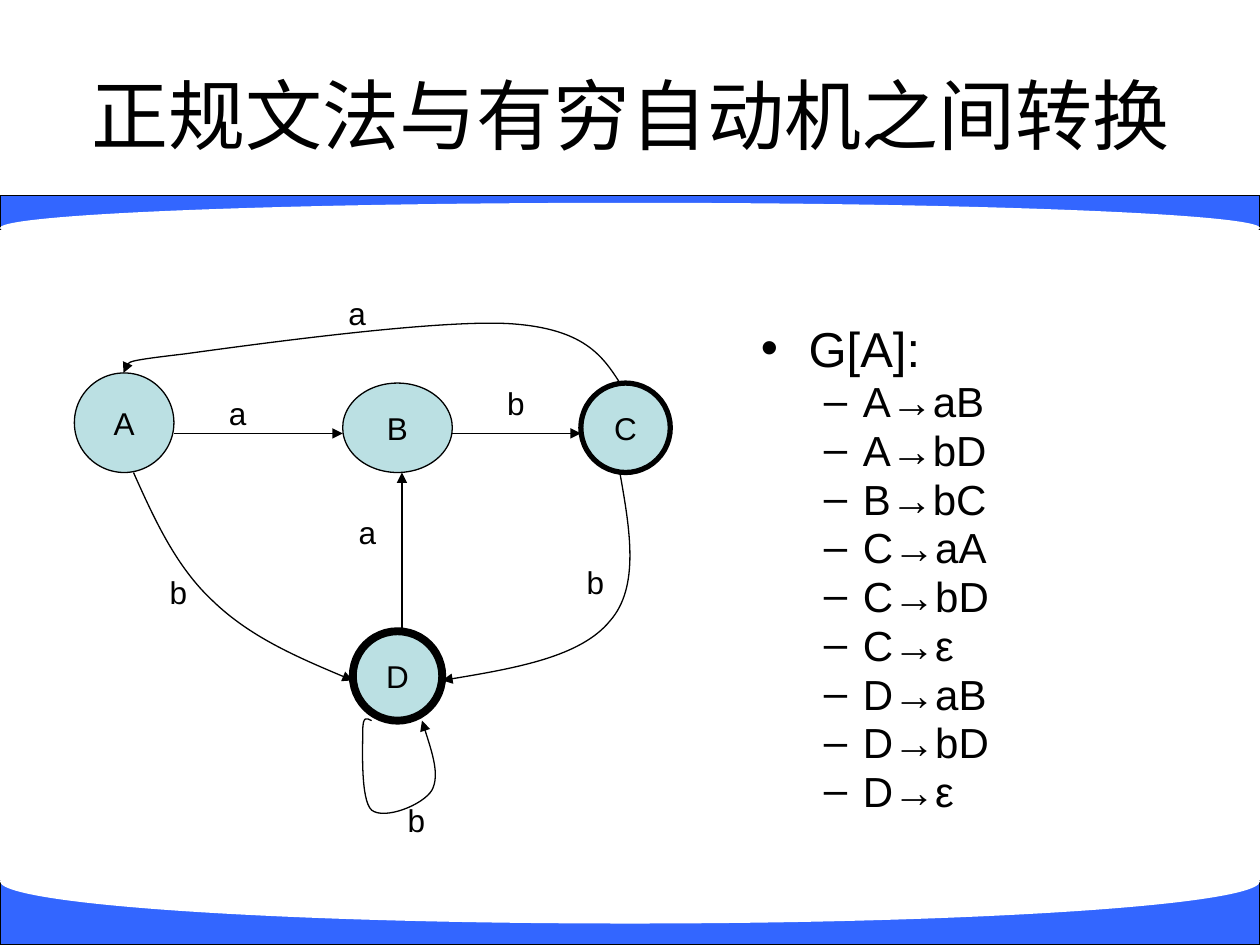
from dataclasses import dataclass
from typing import NamedTuple

from lxml.etree import SubElement
from pptx import Presentation
from pptx.dml.color import RGBColor as Color
from pptx.enum.shapes import MSO_CONNECTOR as Connector, MSO_SHAPE as Preset
from pptx.enum.text import MSO_ANCHOR as Anchor, PP_ALIGN as Align
from pptx.oxml.ns import qn
from pptx.util import Emu, Pt

EMU_PER_PX = 9144


@dataclass(frozen=True)
class Theme:
    font: str = "Arial"
    ink: Color = Color(0x00, 0x00, 0x00)
    paper: Color = Color(0xFF, 0xFF, 0xFF)
    band: Color = Color(0x33, 0x66, 0xFF)
    state: Color = Color(0xBB, 0xE0, 0xE3)
    title_size: int = 44
    grammar_size: int = 28
    rule_size: int = 24
    label_size: int = 18
    thin: float = 0.75


class Box(NamedTuple):
    left: int
    top: int
    width: int
    height: int


class Point(NamedTuple):
    x: int
    y: int


class State(NamedTuple):
    name: str
    box: Box
    line: float


class Label(NamedTuple):
    text: str
    left: int
    top: int


class Bullet(NamedTuple):
    symbol: str
    margin: int
    hang: int


class Edge(NamedTuple):
    start: Point
    end: Point


THEME = Theme()
BANDS = [
    (Box(0, 155, 1000, 27), Box(0, 161, 1000, 40)),
    (Box(0, 699, 1000, 51), Box(0, 666, 1000, 67)),
]
STATES = [
    State("A", Box(59, 296, 79, 79), THEME.thin),
    State("C", Box(461, 304, 71, 71), 3),
    State("D", Box(280, 501, 71, 71), 4.5),
    State("B", Box(272, 304, 87, 71), THEME.thin),
]
LABELS = [
    Label("a", 264, 233),
    Label("b", 390, 304),
    Label("a", 169, 312),
    Label("b", 122, 454),
    Label("a", 272, 407),
    Label("b", 311, 635),
    Label("b", 453, 446),
]
EDGES = [
    Edge(Point(138, 344), Point(272, 344)),
    Edge(Point(358, 344), Point(461, 344)),
    Edge(Point(319, 501), Point(319, 375)),
]
CURVES = [
    [(295, 572), (291, 570), (288, 568), (288, 580), (288, 592), (286, 635), (295, 643),
     (305, 651), (336, 639), (343, 627), (349, 615), (342, 594), (335, 572)],
    [(106, 375), (123, 413), (140, 450), (169, 477), (198, 505), (239, 523), (280, 540)],
    [(492, 375), (500, 420), (508, 466), (484, 493), (461, 521), (406, 531), (351, 540)],
    [(492, 304), (478, 282), (463, 261), (406, 257), (348, 253), (197, 274), (146, 281),
     (94, 287), (96, 292), (98, 296)],
]
GRAMMAR_BULLET = Bullet("•", 38, 38)
RULE_BULLET = Bullet("–", 81, 31)
RULES = ["A→aB", "A→bD", "B→bC", "C→aA", "C→bD", "C→ε", "D→aB", "D→bD", "D→ε"]


def px(length: int) -> Emu:
    return Emu(length * EMU_PER_PX)


def write_text(paragraph, text: str, *, size: int, align=Align.CENTER,
               bullet: Bullet | None = None, line_spacing: float | None = None,
               before: float = 0) -> None:
    if bullet:
        properties = paragraph._p.get_or_add_pPr()
        properties.set("marL", str(px(bullet.margin)))
        properties.set("indent", str(px(-bullet.hang)))
        SubElement(properties, qn("a:buFont")).set("typeface", THEME.font)
        SubElement(properties, qn("a:buChar")).set("char", bullet.symbol)
    paragraph.alignment = align
    if line_spacing:
        paragraph.line_spacing = line_spacing
    if before:
        paragraph.space_before = Pt(before)
    run = paragraph.add_run()
    run.text = text
    run.font.name = THEME.font
    run.font.size = Pt(size)
    run.font.color.rgb = THEME.ink


def add_filled(slide, preset: Preset, box: Box, fill: Color, line: float = 0):
    shape = slide.shapes.add_shape(preset, *map(px, box))
    shape.shadow.inherit = False
    shape.fill.solid()
    shape.fill.fore_color.rgb = fill
    if line:
        shape.line.color.rgb = THEME.ink
        shape.line.width = Pt(line)
    else:
        shape.line.fill.background()
    return shape


def add_frame(slide, box: Box, anchor: Anchor, wrap: bool = True):
    frame = slide.shapes.add_textbox(*map(px, box)).text_frame
    frame.word_wrap = wrap
    frame.vertical_anchor = anchor
    return frame


def add_state(slide, state: State) -> None:
    shape = add_filled(slide, Preset.OVAL, state.box, THEME.state, state.line)
    frame = shape.text_frame
    frame.word_wrap = False
    frame.vertical_anchor = Anchor.MIDDLE
    write_text(frame.paragraphs[0], state.name, size=THEME.label_size)


def add_label(slide, label: Label) -> None:
    frame = add_frame(slide, Box(label.left, label.top, 39, 31), Anchor.MIDDLE, wrap=False)
    write_text(frame.paragraphs[0], label.text, size=THEME.label_size)


def style_arrow(shape) -> None:
    shape.line.color.rgb = THEME.ink
    shape.line.width = Pt(THEME.thin)
    SubElement(shape.line._get_or_add_ln(), qn("a:tailEnd")).set("type", "triangle")


def add_edge(slide, edge: Edge) -> None:
    connector = slide.shapes.add_connector(
        Connector.STRAIGHT, *map(px, (*edge.start, *edge.end)))
    style_arrow(connector)
    SubElement(connector._element.spPr, qn("a:effectLst"))


def bend_segments(shape) -> None:
    outline = next(shape._element.iter(qn("a:path")))
    segments = outline.findall(qn("a:lnTo"))
    for first in range(0, len(segments), 3):
        curve = SubElement(outline, qn("a:cubicBezTo"))
        for segment in segments[first:first + 3]:
            curve.append(segment[0])
            outline.remove(segment)


def add_curve(slide, controls: list[tuple[int, int]]) -> None:
    start, *others = [(px(x), px(y)) for x, y in controls]
    builder = slide.shapes.build_freeform(*start)
    builder.add_line_segments(others, close=False)
    shape = builder.convert_to_shape()
    bend_segments(shape)
    shape.shadow.inherit = False
    shape.fill.background()
    style_arrow(shape)


def add_grammar(slide) -> None:
    frame = add_frame(slide, Box(594, 257, 307, 425), Anchor.TOP)
    write_text(frame.paragraphs[0], "G[A]:", size=THEME.grammar_size, align=Align.LEFT,
               bullet=GRAMMAR_BULLET, line_spacing=0.8)
    for rule in RULES:
        paragraph = frame.add_paragraph()
        paragraph.level = 1
        write_text(paragraph, rule, size=THEME.rule_size, align=Align.LEFT,
                   bullet=RULE_BULLET, line_spacing=0.8, before=4.8)


def main() -> None:
    presentation = Presentation()
    presentation.slide_width, presentation.slide_height = px(1000), px(750)
    slide = presentation.slides.add_slide(presentation.slide_layouts[6])
    for band, cutout in BANDS:
        add_filled(slide, Preset.RECTANGLE, band, THEME.band, THEME.thin)
        add_filled(slide, Preset.OVAL, cutout, THEME.paper)
    title = add_frame(slide, Box(51, 28, 900, 125), Anchor.MIDDLE)
    write_text(title.paragraphs[0], "正规文法与有穷自动机之间转换", size=THEME.title_size)
    add_grammar(slide)
    for draw, items in ((add_state, STATES), (add_label, LABELS[:-1]), (add_edge, EDGES),
                        (add_curve, CURVES), (add_label, LABELS[-1:])):
        for item in items:
            draw(slide, item)
    presentation.save("out.pptx")


if __name__ == "__main__":
    main()
